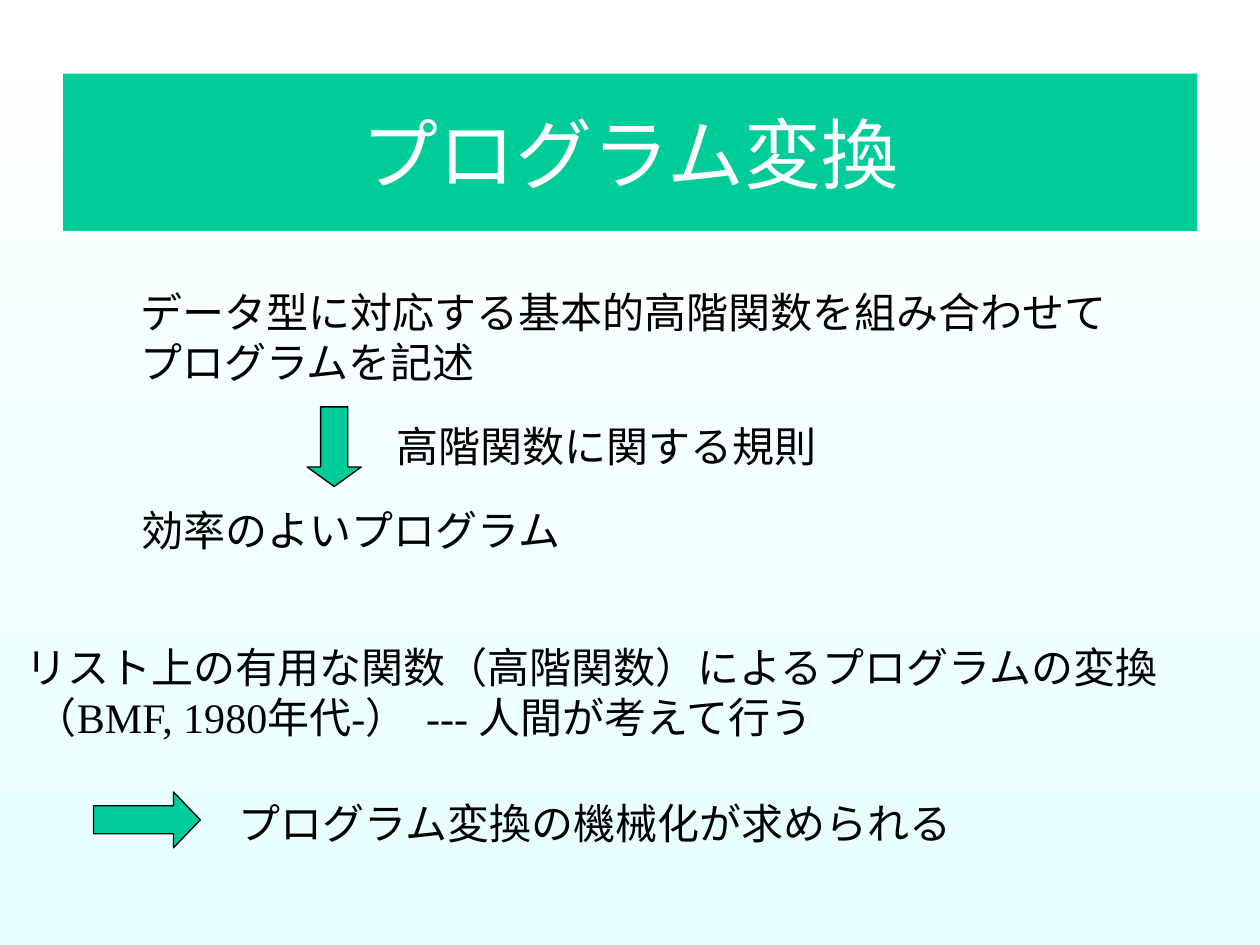
from pptx import Presentation
from pptx.dml.color import RGBColor
from pptx.enum.shapes import MSO_SHAPE
from pptx.enum.text import MSO_ANCHOR, MSO_AUTO_SIZE, PP_ALIGN
from pptx.util import Pt

COLORS = {
    "green": "00CC99",
    "white": "FFFFFF",
    "black": "000000",
    "pale": "E7FFFF",
}
FONT = "Times New Roman"


def color(name):
    return RGBColor.from_string(COLORS[name])


def place(shape, left, top, width, height):
    shape.left, shape.top = Pt(left), Pt(top)
    shape.width, shape.height = Pt(width), Pt(height)


def format_font(paragraph, size, color_name):
    paragraph.font.name = FONT
    paragraph.font.size = Pt(size)
    paragraph.font.color.rgb = color(color_name)


def set_background(slide):
    fill = slide.background.fill
    fill.gradient()
    fill.gradient_angle = 270
    for stop, position, name in zip(fill.gradient_stops, (0, 1), ("white", "pale")):
        stop.position = position
        stop.color.rgb = color(name)


def set_title(slide, text):
    title = slide.shapes.title
    place(title, 36, 42, 648, 90)
    title.fill.solid()
    title.fill.fore_color.rgb = color("green")
    frame = title.text_frame
    frame.text = text
    frame.vertical_anchor = MSO_ANCHOR.MIDDLE
    paragraph = frame.paragraphs[0]
    paragraph.alignment = PP_ALIGN.CENTER
    format_font(paragraph, 44, "white")


def add_text(slide, left, top, width, height, *lines):
    box = slide.shapes.add_textbox(Pt(left), Pt(top), Pt(width), Pt(height))
    frame = box.text_frame
    frame.word_wrap = False
    frame.auto_size = MSO_AUTO_SIZE.SHAPE_TO_FIT_TEXT
    frame.text = "\n".join(lines)
    for paragraph in frame.paragraphs:
        format_font(paragraph, 24, "black")


def add_arrow(slide, kind, left, top, width, height, head):
    arrow = slide.shapes.add_shape(kind, Pt(left), Pt(top), Pt(width), Pt(height))
    arrow.adjustments[0] = 0.5
    arrow.adjustments[1] = head
    arrow.shadow.inherit = False
    arrow.fill.solid()
    arrow.fill.fore_color.rgb = color("green")
    arrow.line.color.rgb = color("black")
    arrow.line.width = Pt(0.75)


def main():
    presentation = Presentation()
    presentation.slide_width, presentation.slide_height = Pt(720), Pt(540)
    slide = presentation.slides.add_slide(presentation.slide_layouts[5])
    set_background(slide)
    set_title(slide, "プログラム変換")
    add_text(slide, 73, 160, 570, 65,
             "データ型に対応する基本的高階関数を組み合わせて", "プログラムを記述")
    add_arrow(slide, MSO_SHAPE.DOWN_ARROW, 175.5, 232.5, 31, 45.5, 0.36)
    add_text(slide, 219.5, 237, 258, 36, "高階関数に関する規則")
    add_text(slide, 74, 285, 258, 36, "効率のよいプログラム")
    add_text(slide, 7.5, 363, 666, 65,
             "リスト上の有用な関数（高階関数）によるプログラムの変換",
             " （BMF, 1980年代-）  --- 人間が考えて行う")
    add_arrow(slide, MSO_SHAPE.RIGHT_ARROW, 53.5, 452.5, 61, 32, 0.48)
    add_text(slide, 129.5, 452, 426, 36, "プログラム変換の機械化が求められる")
    presentation.save("out.pptx")


if __name__ == "__main__":
    main()
